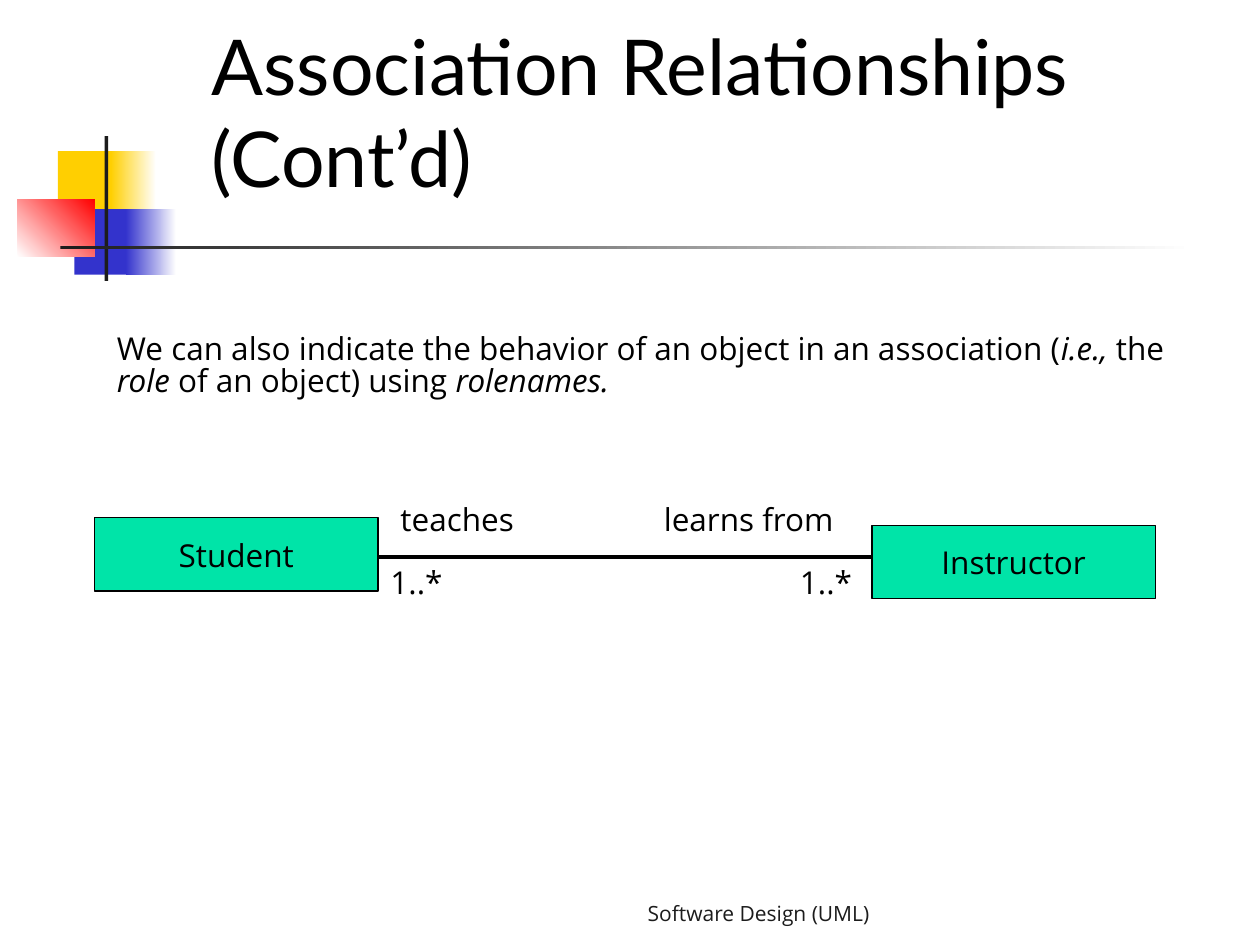
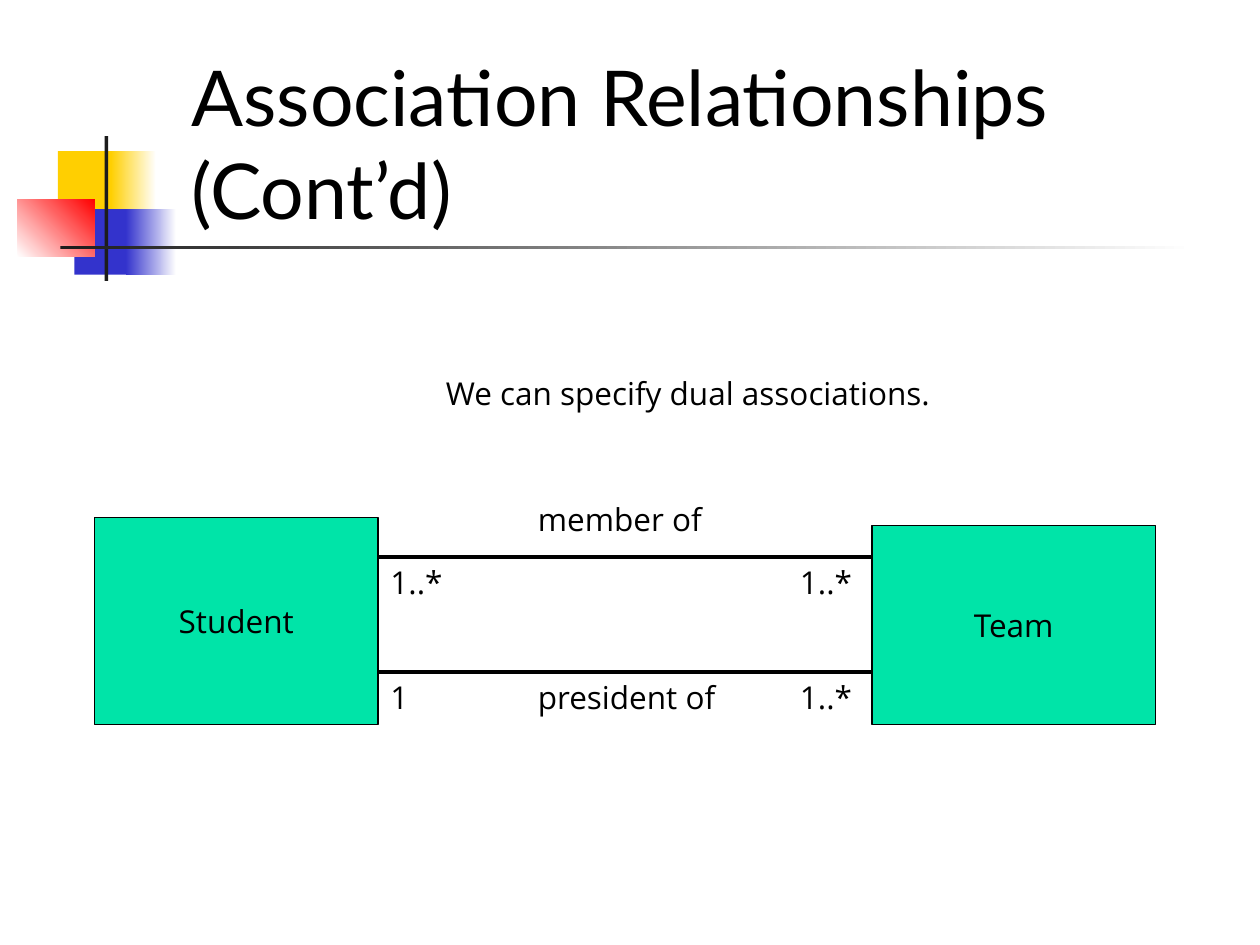
from lxml.etree import SubElement
from pptx import Presentation
from pptx.dml.color import RGBColor
from pptx.enum.shapes import MSO_CONNECTOR, MSO_SHAPE
from pptx.enum.text import MSO_ANCHOR, PP_ALIGN
from pptx.oxml.ns import qn
from pptx.util import Inches, Pt

BLACK, WHITE, DARK = "000000", "FFFFFF", "1C1C1C"
YELLOW, BLUE, RED, GREEN = "FFCF01", "3333CC", "FF0000", "00E4A8"
HEAD, BODY = "Lato", "Open Sans"
TITLE = "Association Relationships (Cont\u2019d)"
LEFT, RIGHT = 3, 6.92  # inner edges of the two class boxes
MANY = "1..*"


def color(code):
    """Turn a hex string into a colour."""
    return RGBColor.from_string(code)


def write(frame, text, size=18, font=BODY, ink=BLACK, align=PP_ALIGN.LEFT,
          anchor=MSO_ANCHOR.TOP, wrap=True, space=None):
    """Fill a frame with one paragraph; parts between bars are italic."""
    frame.word_wrap = wrap
    frame.vertical_anchor = anchor
    para = frame.paragraphs[0]
    para.alignment = align
    para.line_spacing = space
    for i, part in enumerate(text.split("|")):
        run = para.add_run()
        run.text = part
        run.font.size = Pt(size)
        run.font.name = font
        run.font.color.rgb = color(ink)
        run.font.italic = i % 2 == 1


def label(slide, box, text, **style):
    """Add a text box."""
    shape = slide.shapes.add_textbox(*map(Inches, box))
    write(shape.text_frame, text, **style)


def block(slide, box, fill, fade=None, angle=0):
    """Add a borderless rectangle, plain or fading to a second colour."""
    shape = slide.shapes.add_shape(MSO_SHAPE.RECTANGLE, *map(Inches, box))
    shape.shadow.inherit = False
    shape.line.fill.background()
    if fade:
        shape.fill.gradient()
        shape.fill.gradient_angle = angle
        for stop, code in zip(shape.fill.gradient_stops, (fill, fade)):
            stop.color.rgb = color(code)
    else:
        shape.fill.solid()
        shape.fill.fore_color.rgb = color(fill)
    return shape


def motif(slide):
    """Draw the squares and crossed bars that every slide has."""
    block(slide, (0.46, 1.2, 0.48, 0.52), YELLOW)
    block(slide, (0.88, 1.2, 0.36, 0.52), YELLOW, WHITE)
    block(slide, (0.59, 1.66, 0.46, 0.52), BLUE)
    block(slide, (1, 1.66, 0.4, 0.52), BLUE, WHITE)
    block(slide, (0.14, 1.58, 0.61, 0.46), WHITE, RED, 45)
    block(slide, (0.83, 1.08, 0.03, 1.15), DARK)
    block(slide, (0.48, 1.95, 9, 0.03), DARK, WHITE)


def start(deck, box):
    """Add a slide with the motif and the title."""
    slide = deck.slides.add_slide(deck.slide_layouts[6])
    motif(slide)
    label(slide, box, TITLE, size=44, font=HEAD, anchor=MSO_ANCHOR.BOTTOM)
    return slide


def entity(slide, box, name):
    """Draw a UML class box."""
    shape = block(slide, box, GREEN)
    shape.line.color.rgb = color(BLACK)
    shape.line.width = Pt(0.75)
    write(shape.text_frame, name, align=PP_ALIGN.CENTER,
          anchor=MSO_ANCHOR.MIDDLE, wrap=False)


def link(slide, y, near, far, end=RIGHT):
    """Draw an association line with the counts below its two ends."""
    line = slide.shapes.add_connector(
        MSO_CONNECTOR.STRAIGHT, *map(Inches, (LEFT, y, end, y)))
    line.line.color.rgb = color(BLACK)
    line.line.width = Pt(2.25)
    SubElement(line._element.spPr, qn("a:effectLst"))
    label(slide, (LEFT, y, 0.75, 0.5), near)
    label(slide, (6.25, y, 0.75, 0.5), far)


def pair(slide, bottom, left, right):
    """Draw the two classes down to a common or own bottom edge."""
    low, high = bottom
    entity(slide, (RIGHT, 4.17, 2.25, high - 4.17), right)
    entity(slide, (LEFT - 2.25, 4.11, 2.25, low - 4.11), left)


def roles(deck):
    """Build the slide on role names."""
    slide = start(deck, (1.58, 1.08, 9, 0.58))
    label(slide, (2.58, 7, 4.42, 0.5), "Software Design (UML)", size=12,
          ink=DARK, align=PP_ALIGN.RIGHT, anchor=MSO_ANCHOR.MIDDLE)
    label(slide, (0.83, 2.6, 8.87, 0.7),
          "We can also indicate the behavior of an object in an association "
          "(|i.e.,| the |role |of an object) using |rolenames.", space=0.87)
    link(slide, 4.42, MANY, MANY)
    pair(slide, (4.69, 4.75), "Student", "Instructor")
    label(slide, (5.17, 3.92, 1.75, 0.5), "learns from")
    label(slide, (3.08, 3.92, 1.25, 0.5), "teaches")


def dual(deck):
    """Build the slide on dual associations."""
    slide = start(deck, (1.42, 1.33, 8.83, 0.58))
    label(slide, (1.17, 2.92, 8.58, 0.4), "We can specify dual associations.",
          align=PP_ALIGN.CENTER)
    link(slide, 4.42, MANY, MANY)
    link(slide, 5.33, "1", MANY)
    pair(slide, (5.75, 5.75), "Student", "Team")
    for y, name in ((3.92, "member of"), (5.33, "president of")):
        label(slide, (4.17, y, 1.92, 0.5), name)


deck = Presentation()
deck.slide_width, deck.slide_height = Inches(10), Inches(7.5)
roles(deck)
dual(deck)
deck.save("out.pptx")
